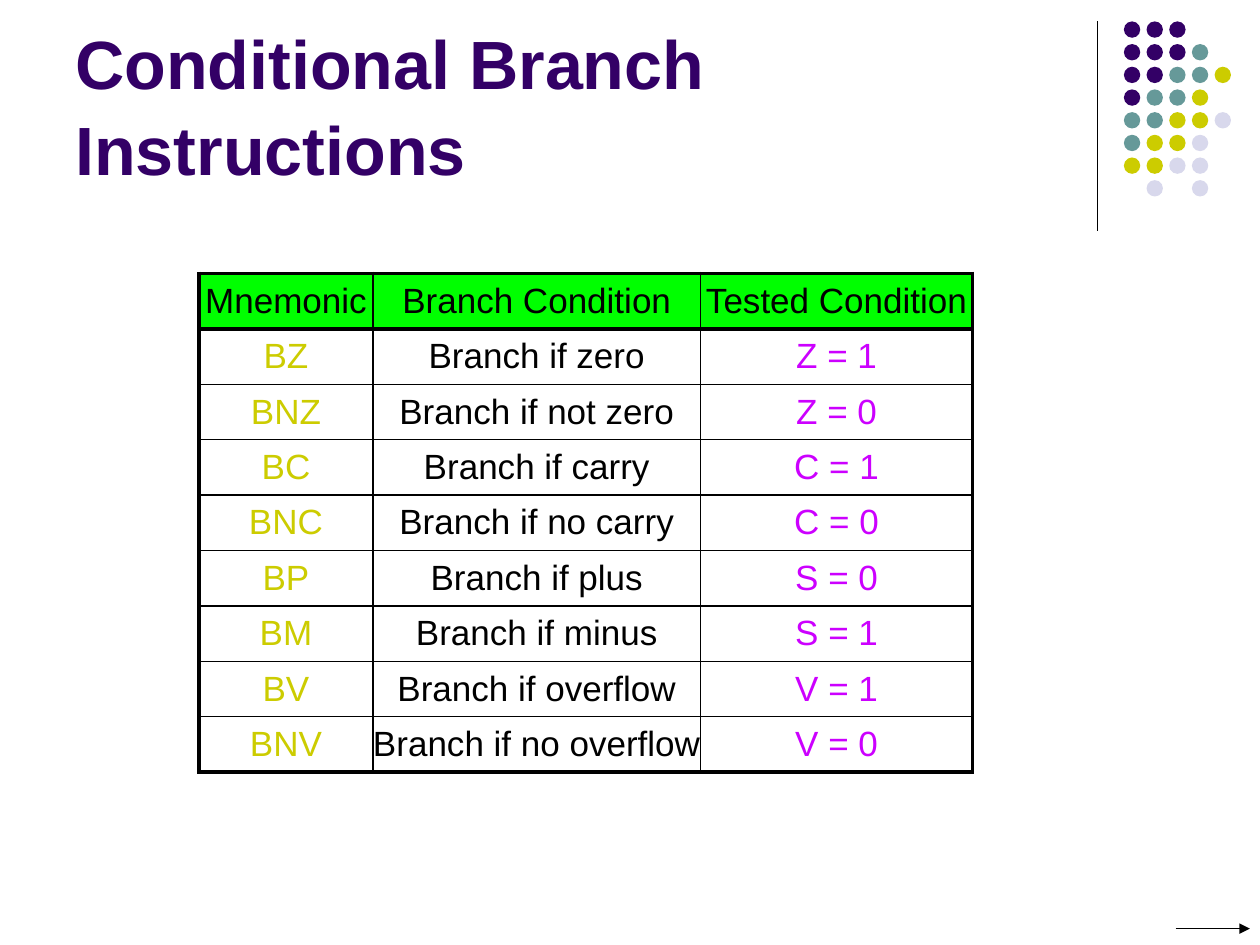
from dataclasses import dataclass

from lxml.etree import SubElement
from pptx import Presentation
from pptx.dml.color import RGBColor
from pptx.enum.shapes import MSO_CONNECTOR, MSO_SHAPE
from pptx.enum.text import MSO_ANCHOR, PP_ALIGN
from pptx.oxml import parse_xml
from pptx.oxml.ns import nsdecls, qn
from pptx.util import Inches, Pt


@dataclass(frozen=True)
class Theme:
    font: str = "Arial"
    title_size: float = 39
    table_size: float = 20
    purple: str = "330066"
    teal: str = "669999"
    olive: str = "CCCC00"
    lavender: str = "D8D8EC"
    magenta: str = "CC00FF"
    green: str = "00FF00"
    black: str = "000000"
    thin: float = 1
    thick: float = 2.25
    rule: float = 0.75


THEME = Theme()

DOT_COLORS = {"P": THEME.purple, "T": THEME.teal, "O": THEME.olive, "L": THEME.lavender}
DOT_ROWS = ["PPP", "PPPT", "PPTTO", "PTTO", "TTOOL", "TOOL", "OOLL", " L L"]

COLUMN_WIDTHS = [1.38, 2.6, 2.16]
ROW_HEIGHT = 0.44
HEADER = ("Mnemonic", "Branch Condition", "Tested Condition")
BRANCHES = [
    ("BZ", "Branch if zero", "Z = 1"),
    ("BNZ", "Branch if not zero", "Z = 0"),
    ("BC", "Branch if carry", "C = 1"),
    ("BNC", "Branch if no carry", "C = 0"),
    ("BP", "Branch if plus", "S = 0"),
    ("BM", "Branch if minus", "S = 1"),
    ("BV", "Branch if overflow", "V = 1"),
    ("BNV", "Branch if no overflow", "V = 0"),
]


def write_text(tf, text, *, size, color, bold=False, align=PP_ALIGN.LEFT, spacing=None):
    p = tf.paragraphs[0]
    p.alignment = align
    p.line_spacing = spacing
    r = p.add_run()
    r.text = text
    r.font.name = THEME.font
    r.font.size = Pt(size)
    r.font.bold = bold
    r.font.color.rgb = RGBColor.from_string(color)


def add_title(s, text):
    tf = s.shapes.add_textbox(Inches(0.5), Inches(0.13), Inches(8.25), Inches(1.42)).text_frame
    tf.word_wrap = True
    tf.vertical_anchor = MSO_ANCHOR.BOTTOM
    write_text(tf, text, size=THEME.title_size, color=THEME.purple, bold=True, spacing=1.05)


def add_line(s, x1, y1, x2, y2, arrow=False):
    line = s.shapes.add_connector(
        MSO_CONNECTOR.STRAIGHT, Inches(x1), Inches(y1), Inches(x2), Inches(y2))
    line.line.color.rgb = RGBColor.from_string(THEME.black)
    line.line.width = Pt(THEME.rule)
    if arrow:
        SubElement(line.line._get_or_add_ln(), qn("a:tailEnd"), type="triangle")
    SubElement(line._element.spPr, qn("a:effectLst"))


def add_dots(s, left, top, pitch, size):
    group = s.shapes.add_group_shape()
    for i, row in enumerate(DOT_ROWS):
        for j, key in enumerate(row):
            if key == " ":
                continue
            dot = group.shapes.add_shape(
                MSO_SHAPE.OVAL, Inches(left + j * pitch), Inches(top + i * pitch),
                Inches(size), Inches(size))
            dot.shadow.inherit = False
            dot.fill.solid()
            dot.fill.fore_color.rgb = RGBColor.from_string(DOT_COLORS[key])
            dot.line.fill.background()


def set_borders(cell, widths):
    """Widths run left, right, top, bottom."""
    tc_pr = cell._tc.get_or_add_tcPr()
    for i, (side, width) in enumerate(zip("LRTB", widths)):
        tc_pr.insert(i, parse_xml(
            f'<a:ln{side} {nsdecls("a")} w="{Pt(width)}"><a:solidFill>'
            f'<a:srgbClr val="{THEME.black}"/></a:solidFill></a:ln{side}>'))


def fill_cell(cell, text, color, fill=None):
    cell.margin_left = cell.margin_right = cell.margin_top = cell.margin_bottom = 0
    cell.vertical_anchor = MSO_ANCHOR.MIDDLE
    if fill:
        cell.fill.solid()
        cell.fill.fore_color.rgb = RGBColor.from_string(fill)
    else:
        cell.fill.background()
    write_text(cell.text_frame, text, size=THEME.table_size, color=color,
               align=PP_ALIGN.CENTER)


def add_branch_table(s, left, top):
    rows = [HEADER, *BRANCHES]
    last_row, last_col = len(rows) - 1, len(HEADER) - 1
    table = s.shapes.add_table(
        len(rows), len(HEADER), Inches(left), Inches(top),
        Inches(sum(COLUMN_WIDTHS)), Inches(ROW_HEIGHT * len(rows))).table
    table.first_row = table.horz_banding = False
    for column, width in zip(table.columns, COLUMN_WIDTHS):
        column.width = Inches(width)

    body_colors = (THEME.olive, THEME.black, THEME.magenta)
    for i, row in enumerate(rows):
        table.rows[i].height = Inches(ROW_HEIGHT)
        for j, text in enumerate(row):
            cell = table.cell(i, j)
            if i == 0:
                fill_cell(cell, text, THEME.black, THEME.green)
            else:
                fill_cell(cell, text, body_colors[j])
            # Thick outer frame and header rule, thin lines elsewhere
            heavy = (j == 0, j == last_col, i <= 1, i in (0, last_row))
            set_borders(cell, [THEME.thick if h else THEME.thin for h in heavy])


def main():
    prs = Presentation()
    prs.slide_width, prs.slide_height = Inches(10), Inches(7.5)
    s = prs.slides.add_slide(prs.slide_layouts[6])

    # Corner decoration
    add_line(s, 8.71, 0.17, 8.71, 1.83)
    add_dots(s, left=8.92, top=0.17, pitch=0.18, size=0.13)

    # Content
    add_title(s, "Conditional Branch Instructions")
    add_branch_table(s, left=1.58, top=2.17)

    # Arrow at the foot
    add_line(s, 9.33, 7.37, 9.92, 7.37, arrow=True)

    prs.save("out.pptx")


if __name__ == "__main__":
    main()
